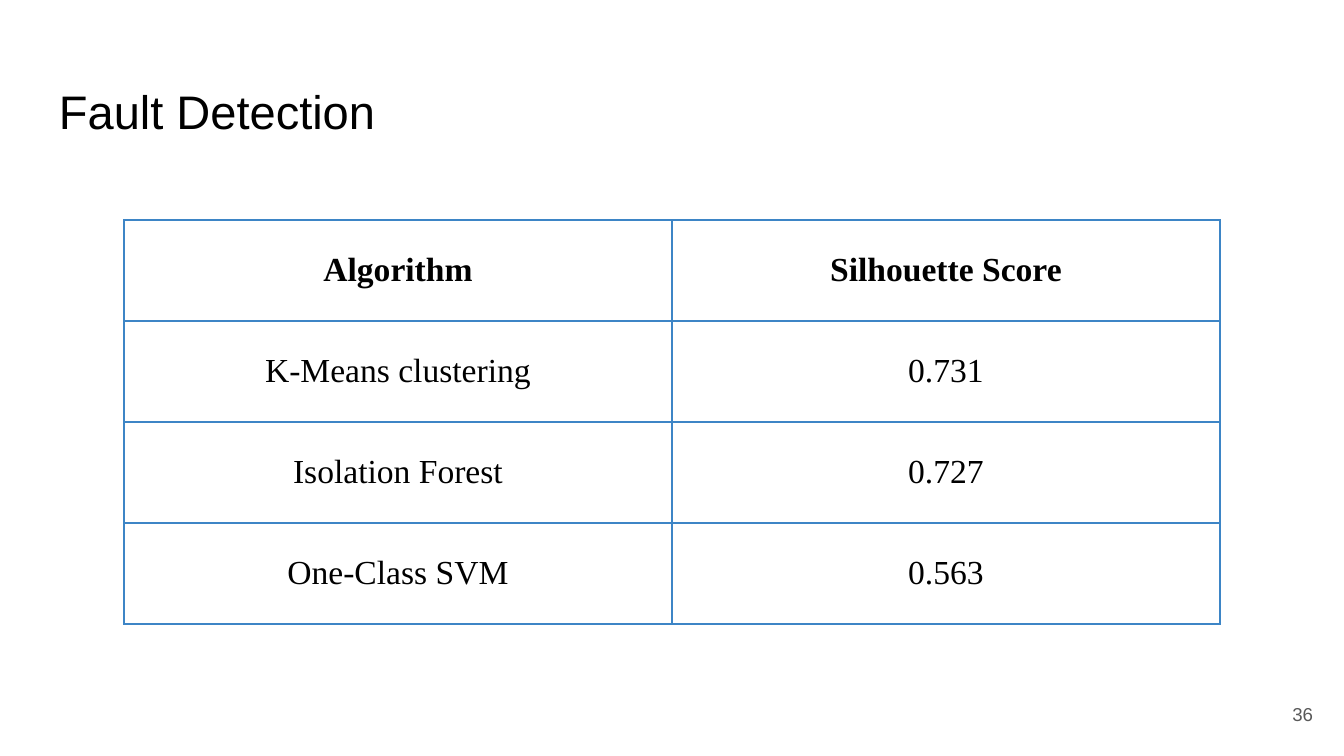
import pptx
import pptx.util
import pptx.dml.color
import pptx.enum.text
import pptx.oxml
from dataclasses import dataclass
from lxml import etree

ALIGN = pptx.enum.text.PP_ALIGN
ANCHOR = pptx.enum.text.MSO_ANCHOR
SCALE = 6804


def px(size):
    """Turn whole pixels into EMU."""
    return pptx.util.Emu(size * SCALE)


@dataclass(frozen=True)
class Theme:
    """Colours, fonts and type sizes of the deck."""
    ink: str = "000000"
    grey: str = "595959"
    rule: str = "3D85C6"
    paper: str = "FFFFFF"
    sans: str = "Arial"
    serif: str = "Times New Roman"
    head: float = 25.2
    body: int = 18
    small: int = 10
    edge: int = 1


def write(frame, text, *, font, size, color, bold=False, align=ALIGN.LEFT):
    """Put one formatted paragraph in a text frame."""
    frame.word_wrap = True
    para = frame.paragraphs[0]
    para.alignment = align
    run = para.add_run()
    run.text = text
    run.font.name = font
    run.font.size = pptx.util.Pt(size)
    run.font.bold = bold
    run.font.color.rgb = pptx.dml.color.RGBColor.from_string(color)


class Deck:
    """Hold the style and the current slide."""

    def __init__(self, theme, width, height):
        """Start a deck with one blank slide."""
        self.theme = theme
        self.file = pptx.Presentation()
        self.file.slide_width = px(width)
        self.file.slide_height = px(height)
        self.slide = self.file.slides.add_slide(self.file.slide_layouts[6])
        fill = self.slide.background.fill
        fill.solid()
        fill.fore_color.rgb = pptx.dml.color.RGBColor.from_string(theme.paper)

    def label(self, text, box, *, anchor=ANCHOR.TOP, top=13, **form):
        """Add a text box."""
        frame = self.slide.shapes.add_textbox(*map(px, box)).text_frame
        frame.vertical_anchor = anchor
        frame.margin_left = frame.margin_right = frame.margin_bottom = px(13)
        frame.margin_top = px(top)
        write(frame, text, font=self.theme.sans, **form)

    def border(self, cell):
        """Draw the four edges of a cell."""
        props = cell._tc.get_or_add_tcPr()
        for spot, side in enumerate(("lnL", "lnR", "lnT", "lnB")):
            line = etree.Element(pptx.oxml.ns.qn(f"a:{side}"),
                                 w=str(pptx.util.Pt(self.theme.edge)))
            fill = etree.SubElement(line, pptx.oxml.ns.qn("a:solidFill"))
            etree.SubElement(fill, pptx.oxml.ns.qn("a:srgbClr"),
                             val=self.theme.rule)
            props.insert(spot, line)

    def table(self, rows, left, top, wide, high):
        """Add a ruled table with a bold first row."""
        count, span = len(rows), len(rows[0])
        grid = self.slide.shapes.add_table(
            count, span, px(left), px(top),
            px(wide * span), px(high * count)).table
        grid.first_row = grid.horz_banding = False
        for col in grid.columns:
            col.width = px(wide)
        for r, row in enumerate(rows):
            grid.rows[r].height = px(high)
            for c, text in enumerate(row):
                cell = grid.cell(r, c)
                cell.fill.background()
                cell.vertical_anchor = ANCHOR.MIDDLE
                cell.margin_left = cell.margin_right = px(9)
                cell.margin_top = cell.margin_bottom = px(9)
                write(cell.text_frame, text, font=self.theme.serif,
                      size=self.theme.body, color=self.theme.ink,
                      bold=r == 0, align=ALIGN.CENTER)
                self.border(cell)


def main():
    """Build the slide and save it."""
    theme = Theme()
    deck = Deck(theme, 1344, 756)
    deck.label("Fault Detection", (46, 66, 1252, 84), top=17,
               size=theme.head, color=theme.ink)
    deck.label("36", (1246, 685, 80, 58), anchor=ANCHOR.MIDDLE,
               size=theme.small, color=theme.grey, align=ALIGN.RIGHT)
    scores = [
        ("Algorithm", "Silhouette Score"),
        ("K-Means clustering", "0.731"),
        ("Isolation Forest", "0.727"),
        ("One-Class SVM", "0.563"),
    ]
    deck.table(scores, 124, 220, 548, 101)
    deck.file.save("out.pptx")


if __name__ == "__main__":
    main()
